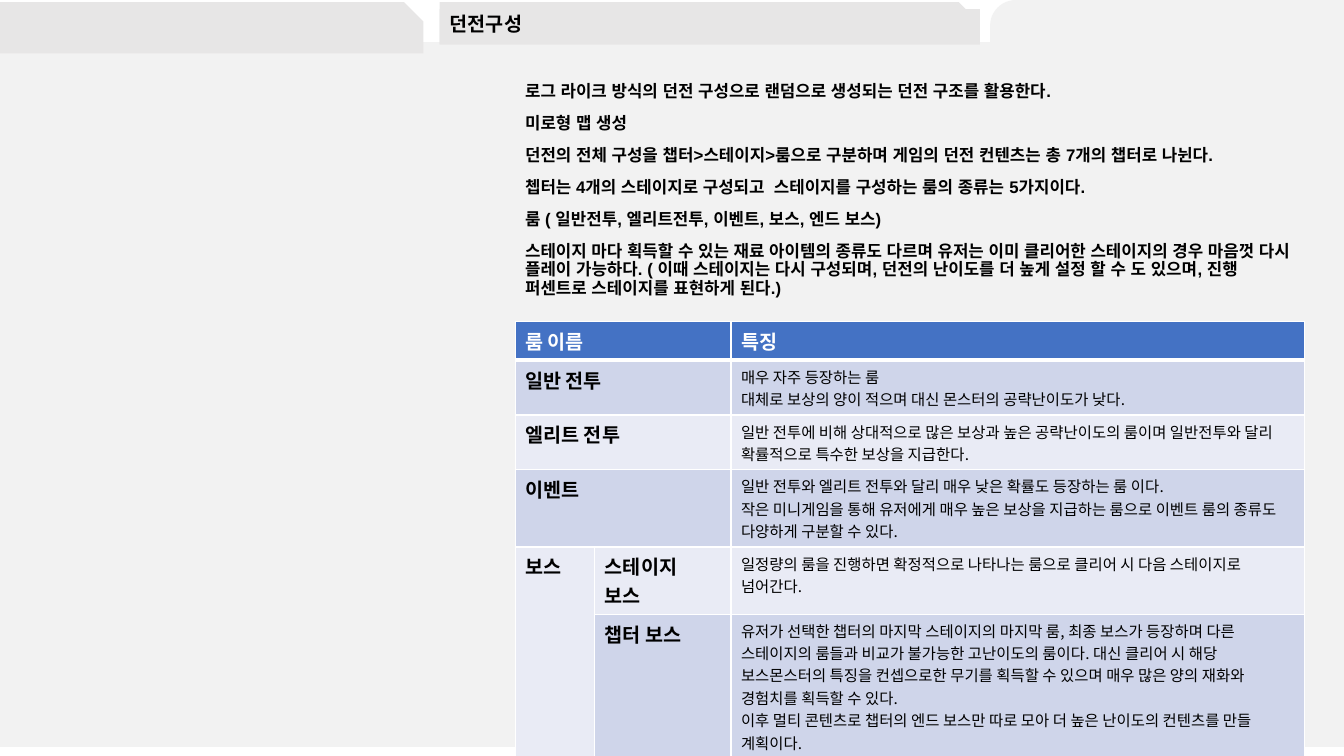
"""Builds the dungeon layout slide with its room table."""
from lxml.etree import SubElement
from pptx import Presentation
from pptx.dml.color import RGBColor
from pptx.enum.shapes import MSO_SHAPE
from pptx.enum.text import MSO_ANCHOR, MSO_AUTO_SIZE, PP_ALIGN
from pptx.oxml.ns import qn
from pptx.util import Pt

PX = 9144
HUES = {"page": "F2F2F2", "tab": "E7E6E6", "head": "4472C4", "dark": "CFD5EA",
        "light": "E9EBF5", "white": "FFFFFF", "black": "000000"}


def paint(fill, hue):
    fill.solid()
    fill.fore_color.rgb = RGBColor.from_string(HUES[hue])


def write(frame, text, face, size, bold, hue="black", **rules):
    frame.text = text
    for para in frame.paragraphs:
        for key, value in rules.items():
            setattr(para, key, value)
        for run in para.runs:
            form = {"name": face, "size": Pt(size), "bold": bold}
            for key, value in form.items():
                setattr(run.font, key, value)
            run.font.color.rgb = RGBColor.from_string(HUES[hue])
            SubElement(run.font._element, qn("a:ea"), typeface=face)


deck = Presentation()
deck.slide_width, deck.slide_height = 1333 * PX, 750 * PX
slide = deck.slides.add_slide(deck.slide_layouts[5])
shapes = slide.shapes

tabs = [
    (MSO_SHAPE.FLOWCHART_PROCESS, (0, 42, 1333, 699), "page", None, False),
    (MSO_SHAPE.SNIP_1_RECTANGLE, (0, 2, 420, 51), "tab", 0.38, False),
    (MSO_SHAPE.ROUND_1_RECTANGLE, (982, 0, 351, 51), "page", 0.5, True),
    (MSO_SHAPE.SNIP_1_RECTANGLE, (436, 2, 536, 42), "tab", 0.5, False),
]
for kind, box, hue, bend, flip in tabs:
    tab = shapes.add_shape(kind, *(n * PX for n in box))
    tab.shadow.inherit = False
    tab.line.fill.background()
    paint(tab.fill, hue)
    if bend:
        tab.adjustments[0] = bend
    if flip:
        tab._element.spPr.xfrm.set("flipH", "1")

title = shapes.title
shapes._spTree.append(title._element)
title.left, title.top, title.width, title.height = (n * PX for n in (436, 9, 536, 35))
paint(title.fill, "tab")
write(title.text_frame, "던전구성", "Arial", 14, True,
      alignment=PP_ALIGN.LEFT, line_spacing=0.9, space_before=Pt(0))

notes = [
    "로그 라이크 방식의 던전 구성으로 랜덤으로 생성되는 던전 구조를 활용한다.",
    "미로형 맵 생성",
    "던전의 전체 구성을 챕터>스테이지>룸으로 구분하며 게임의 던전 컨텐츠는 총 7개의 챕터로 나뉜다.",
    "쳅터는 4개의 스테이지로 구성되고  스테이지를 구성하는 룸의 종류는 5가지이다.",
    "룸 ( 일반전투, 엘리트전투, 이벤트, 보스, 엔드 보스)",
    "스테이지 마다 획득할 수 있는 재료 아이템의 종류도 다르며 유저는 이미 클리어한 스테이지의 경우 "
    "마음껏 다시 플레이 가능하다. ( 이때 스테이지는 다시 구성되며, 던전의 난이도를 더 높게 설정 할 수 도 "
    "있으며, 진행 퍼센트로 스테이지를 표현하게 된다.)",
]
body = shapes.add_textbox(*(n * PX for n in (511, 77, 783, 592)))
write(body.text_frame, "\n".join(notes), "Arial", 12, True,
      line_spacing=0.9, space_before=Pt(10))
body.text_frame.paragraphs[0].space_before = Pt(0)
for frame in (title.text_frame, body.text_frame):
    form = {"word_wrap": True, "auto_size": MSO_AUTO_SIZE.NONE,
            "vertical_anchor": MSO_ANCHOR.TOP}
    for key, value in form.items():
        setattr(frame, key, value)

rooms = [
    ("룸 이름", "", "특징"),
    ("일반 전투", "", "매우 자주 등장하는 룸\n대체로 보상의 양이 적으며 대신 몬스터의 공략난이도가 낮다."),
    ("엘리트 전투", "", "일반 전투에 비해 상대적으로 많은 보상과 높은 공략난이도의 룸이며 일반전투와 달리 "
     "확률적으로 특수한 보상을 지급한다."),
    ("이벤트", "", "일반 전투와 엘리트 전투와 달리 매우 낮은 확률도 등장하는 룸 이다.\n"
     "작은 미니게임을 통해 유저에게 매우 높은 보상을 지급하는 룸으로 이벤트 룸의 종류도 "
     "다양하게 구분할 수 있다."),
    ("보스", "스테이지\v보스", "일정량의 룸을 진행하면 확정적으로 나타나는 룸으로 클리어 시 "
     "다음 스테이지로 넘어간다."),
    ("", "챕터 보스", "유저가 선택한 챕터의 마지막 스테이지의 마지막 룸, 최종 보스가 등장하며 다른 "
     "스테이지의 룸들과 비교가 불가능한 고난이도의 룸이다. 대신 클리어 시 해당 보스몬스터의 특징을 "
     "컨셉으로한 무기를 획득할 수 있으며 매우 많은 양의 재화와 경험치를 획득할 수 있다.\n"
     "이후 멀티 콘텐츠로 챕터의 엔드 보스만 따로 모아 더 높은 난이도의 컨텐츠를 만들 계획이다."),
]
grid = shapes.add_table(6, 3, *(n * PX for n in (511, 319, 783, 368)))
table = grid.table
for col, wide in zip(table.columns, (79, 135, 569)):
    col.width = wide * PX
for row, tall in zip(table.rows, (37, 41, 41, 41, 37, 41)):
    row.height = tall * PX
grid.height = 368 * PX
for r in range(4):
    table.cell(r, 0).merge(table.cell(r, 1))
table.cell(4, 0).merge(table.cell(5, 0))

for r, room in enumerate(rooms):
    for c, text in enumerate(room):
        cell = table.cell(r, c)
        edges = cell._tc.get_or_add_tcPr()
        for side in ("lnL", "lnR", "lnT", "lnB"):
            thick = (r, side) in ((0, "lnB"), (1, "lnT"))
            edge = SubElement(edges, qn("a:" + side), w=str(Pt(3 if thick else 1)))
            ink = SubElement(edge, qn("a:solidFill"))
            SubElement(ink, qn("a:srgbClr"), val=HUES["white"])
        paint(cell.fill, "head" if r == 0 else "dark" if r % 2 else "light")
        if text:
            name = r == 0 or c < 2
            write(cell.text_frame, text, "Noto Sans CJK KR", 14 if name else 11,
                  name, "black" if r else "white")

deck.save("out.pptx")
